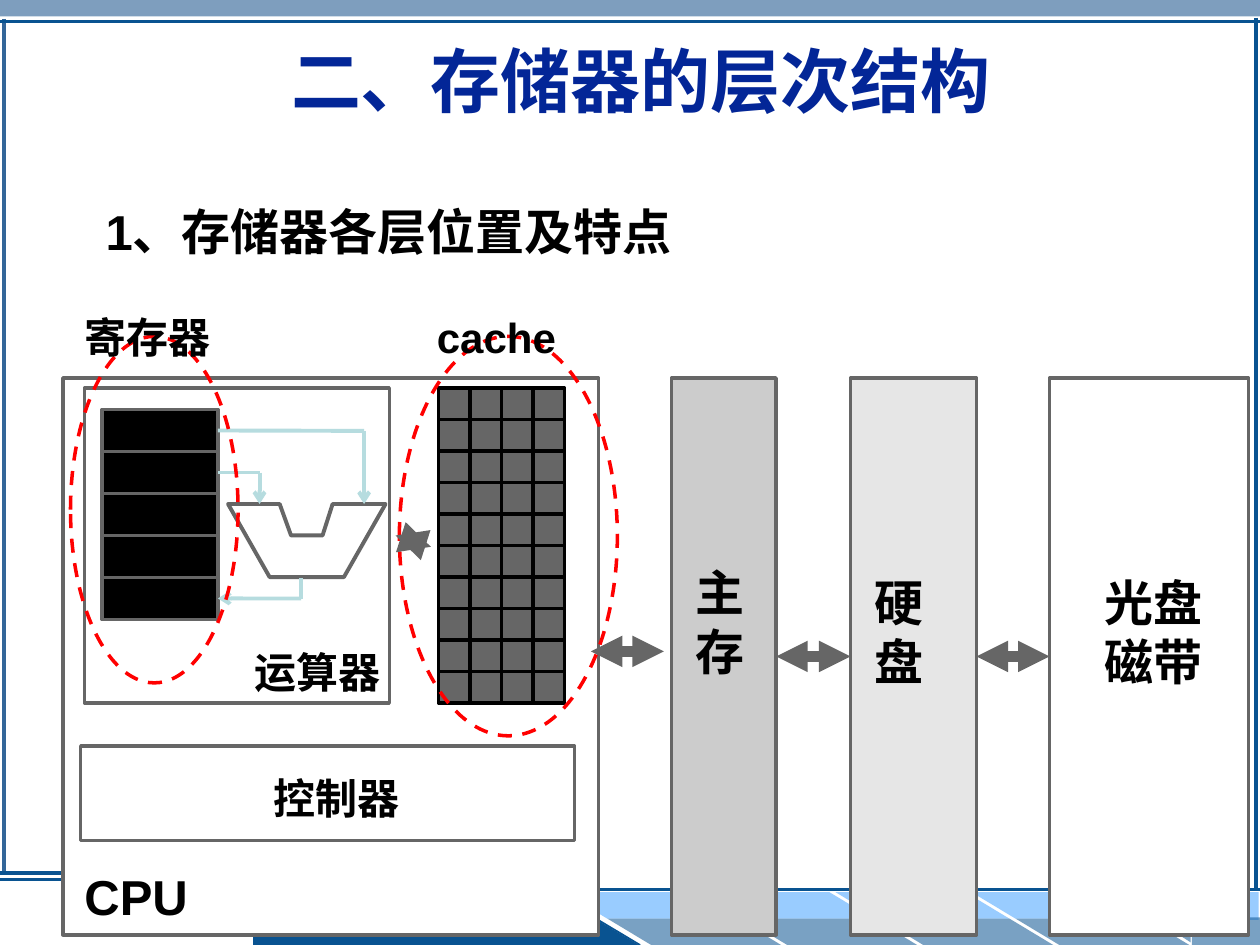
from itertools import product

from lxml import etree
from pptx import Presentation
from pptx import util as u
from pptx.dml.color import RGBColor
from pptx.enum import dml, shapes, text
from pptx.oxml import ns

NAVY, GRAY, CYAN, SKY = "095391", "666666", "B6DCDF", "99CCFF"
CJK = "Noto Sans CJK SC"
KIND = shapes.MSO_SHAPE


def color(value):
    return RGBColor.from_string(value)


def sub(parent, tag, **attributes):
    return etree.SubElement(parent, ns.qn(tag), attributes)


def paint(shape, fill=None, line=None, width=2, alpha=None):
    """Give a shape its fill and outline."""
    shape.shadow.inherit = False
    if fill:
        shape.fill.solid()
        shape.fill.fore_color.rgb = color(fill)
        if alpha:
            tint = shape.fill._xPr.find(".//" + ns.qn("a:srgbClr"))
            sub(tint, "a:alpha", val=str(alpha * 1000))
    else:
        shape.fill.background()
    if line:
        shape.line.color.rgb = color(line)
        shape.line.width = u.Pt(width)
    else:
        shape.line.fill.background()
    return shape


def add_box(slide, box, fill=None, line=None, kind=KIND.RECTANGLE, flip="", **look):
    shape = slide.shapes.add_shape(kind, *map(u.Inches, box))
    for axis in flip:
        shape._element.spPr.xfrm.set("flip" + axis, "1")
    return paint(shape, fill, line, **look)


def add_line(slide, start, end, stroke=NAVY, width=2.0, head=None, tail=None,
             source=None, target=None):
    """Draw a line; source and target are (shape, side) pairs to join."""
    line = slide.shapes.add_connector(
        shapes.MSO_CONNECTOR.STRAIGHT, *map(u.Inches, (*start, *end)))
    line.line.color.rgb = color(stroke)
    line.line.width = u.Pt(width)
    for tag, arrow in (("a:headEnd", head), ("a:tailEnd", tail)):
        if arrow:
            sub(line.line._get_or_add_ln(), tag, type=arrow)
    sub(line._element.spPr, "a:effectLst")
    if source:
        line.begin_connect(*source)
    if target:
        line.end_connect(*target)


def add_text(slide, box, lines, size, font="Arial", ink="000000", wrap=False,
             align=text.PP_ALIGN.CENTER, anchor=text.MSO_ANCHOR.TOP, spacing=None):
    frame = slide.shapes.add_textbox(*map(u.Inches, box)).text_frame
    frame.word_wrap = wrap
    if not wrap:
        frame.auto_size = text.MSO_AUTO_SIZE.SHAPE_TO_FIT_TEXT
    frame.vertical_anchor = anchor
    frame.text = "\n".join(lines)
    for paragraph in frame.paragraphs:
        paragraph.alignment = align
        if spacing:
            paragraph.line_spacing = u.Pt(spacing)
        for run in paragraph.runs:
            style = {"size": u.Pt(size), "bold": True, "name": font}
            for name, value in style.items():
                setattr(run.font, name, value)
            run.font.color.rgb = color(ink)
            sub(run.font._element, "a:ea", typeface=CJK)


def add_frame(slide):
    """Page border and footer band."""
    add_box(slide, (0, 0, 10, 0.13), "336699", alpha=63)
    add_line(slide, (0.03, 0.15), (0.03, 6.93), "336699")
    add_box(slide, (2.01, 6.98, 2.2, 0.52), NAVY)
    add_line(slide, (5.08, 7.5), (4.21, 6.98), width=1)
    add_line(slide, (4.21, 6.98), (0, 6.98), width=1.5)
    add_line(slide, (0, 6.93), (4.21, 6.93))
    for i in range(4):
        for left, top, look in ((4.47, 7.08, {"fill": SKY}),
                                (4.82, 7.29, {"fill": NAVY, "alpha": 54})):
            slant = add_box(slide, (left + 1.08 * i, top, 1.38, 0.21),
                            kind=KIND.PARALLELOGRAM, flip="H", **look)
            slant.adjustments[0] = 1.66
    add_box(slide, (9.13, 7.08, 0.86, 0.22), SKY)
    add_box(slide, (9.46, 7.28, 0.54, 0.22), NAVY, alpha=54)
    add_box(slide, (9.14, 7.28, 0.31, 0.2), NAVY, alpha=54,
            kind=KIND.RIGHT_TRIANGLE, flip="HV")
    add_line(slide, (4.45, 7.06), (10, 7.06))
    add_box(slide, (4.2, 6.98, 0.87, 0.52), NAVY, kind=KIND.RIGHT_TRIANGLE)
    add_line(slide, (0, 0.17), (10, 0.17))
    add_line(slide, (9.97, 0.14), (9.97, 7.07))


def add_cpu(slide):
    """CPU with its arithmetic unit, controller, registers and cache."""
    for box in ((0.5, 3, 4.25, 4.42), (0.67, 3.08, 2.42, 2.5),
                (0.64, 5.92, 3.92, 0.75)):
        add_box(slide, box, "FFFFFF", GRAY)
    registers = [add_box(slide, (0.81, 3.25 + i / 3, 0.92, 1 / 3), "000000", GRAY)
                 for i in range(5)]

    # ALU outline
    corners = [(1.81, 4), (2.22, 4), (2.31, 4.25), (2.56, 4.25),
               (2.64, 4), (3.06, 4), (2.73, 4.58), (2.14, 4.58)]
    points = [(u.Inches(x), u.Inches(y)) for x, y in corners]
    outline = slide.shapes.build_freeform(*points[0])
    outline.add_line_segments(points[1:], close=True)
    paint(outline.convert_to_shape(), line=GRAY, width=2.25)

    # Wires between registers and ALU
    wire = {"stroke": CYAN, "width": 2.25}
    for register, x, y in ((registers[1], 2.06, 3.75), (registers[0], 2.89, 3.42)):
        add_line(slide, (1.73, y), (x, y), source=(register, 3), **wire)
        add_line(slide, (x, y), (x, 4), tail="arrow", **wire)
    add_line(slide, (2.39, 4.59), (2.39, 4.75), **wire)
    add_line(slide, (2.39, 4.75), (1.73, 4.75), tail="arrow",
             target=(registers[4], 3), **wire)

    # Cache cells
    for row, column in product(range(10), range(4)):
        add_box(slide, (3.48 + 0.25 * column, 3.08 + 0.25 * row, 0.25, 0.25),
                GRAY, "000000")


def main():
    deck = Presentation()
    deck.slide_width, deck.slide_height = u.Inches(10), u.Inches(7.5)
    slide = deck.slides.add_slide(deck.slide_layouts[6])
    add_frame(slide)

    # Headings
    add_text(slide, (0.35, 0.28, 9.47, 0.71), ["二、存储器的层次结构"], 40,
             ink="032697", wrap=True, anchor=text.MSO_ANCHOR.MIDDLE)
    add_text(slide, (0.74, 1.55, 8.96, 0.74), ["1、存储器各层位置及特点"], 28,
             wrap=True, align=text.PP_ALIGN.LEFT)

    add_cpu(slide)

    # Memory levels outside the CPU
    main_memory, disk, archive = [
        add_box(slide, (left, 3, width, 4.42), fill, GRAY)
        for left, width, fill in ((5.33, 0.83, "CCCCCC"), (6.75, 1, "E6E6E6"),
                                  (8.33, 1.58, "FFFFFF"))]
    for box, lines in (((5.42, 4.42, 0.59, 1.04), ["主", "存"]),
                       ((6.84, 4.5, 0.59, 1.04), ["硬", "盘"]),
                       ((8.62, 4.5, 1.07, 1.04), ["光盘", "磁带"])):
        add_text(slide, box, lines, 28, CJK, spacing=33.5)

    # CPU labels
    add_text(slide, (0.57, 6.83, 1.02, 0.57), ["CPU"], 28)
    add_text(slide, (2.07, 6.08, 1.2, 0.5), ["控制器"], 24)
    add_text(slide, (1.92, 5.08, 1.2, 0.5), ["运算器"], 24)
    for box in ((0.56, 2.67, 1.33, 2.75), (3.17, 2.67, 1.73, 3.17)):
        ring = add_box(slide, box, line="FF0000", kind=KIND.OVAL)
        ring.line.dash_style = dml.MSO_LINE.DASH
    add_text(slide, (0.57, 2.42, 1.2, 0.5), ["寄存器"], 24, CJK)
    add_text(slide, (3.32, 2.42, 1.24, 0.5), ["cache"], 24)

    # Transfers between levels
    both = {"stroke": GRAY, "width": 6, "head": "triangle", "tail": "triangle"}
    add_line(slide, (3.14, 4.25), (3.42, 4.34), **both)
    add_line(slide, (4.69, 5.17), (5.27, 5.17), **both)
    add_line(slide, (7.75, 5.17), (8.33, 5.17), source=(disk, 3),
             target=(archive, 1), **both)
    add_line(slide, (6.17, 5.17), (6.75, 5.17), source=(main_memory, 3),
             target=(disk, 1), **both)

    deck.save("out.pptx")


if __name__ == "__main__":
    main()
